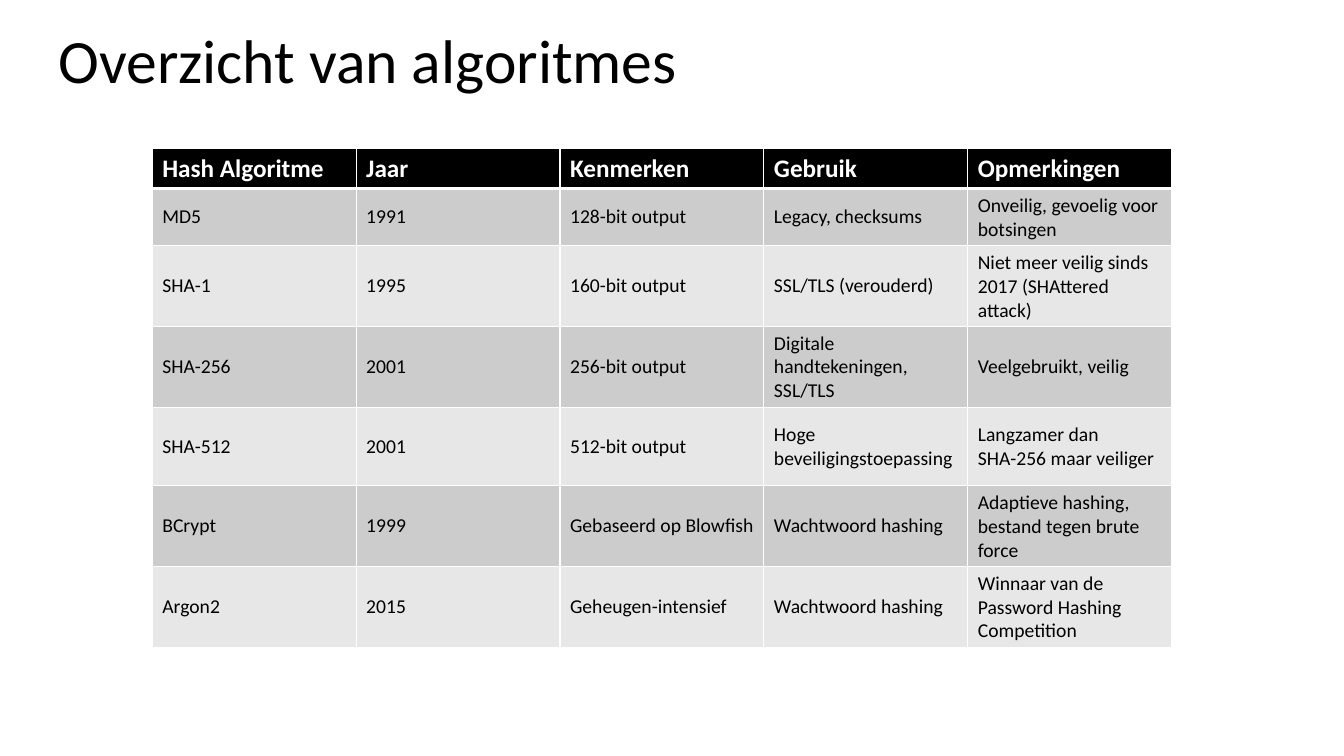
from dataclasses import dataclass

from lxml.etree import SubElement
from pptx import Presentation
from pptx.dml.color import RGBColor
from pptx.enum.text import MSO_ANCHOR as Anchor
from pptx.oxml.ns import qn
from pptx.slide import Slide
from pptx.table import _Cell as Cell
from pptx.text.text import Font
from pptx.util import Inches, Length, Pt

SLIDE_WIDTH, SLIDE_HEIGHT = Inches(13.33), Inches(7.5)
BLACK, WHITE, DARK_BAND, LIGHT_BAND = "000000", "FFFFFF", "CCCCCC", "E7E7E7"
COLUMN_SHARE = 15.17

TITLE_FORMAT = {"name": "Calibri", "size": Pt(44), "bold": False}
HEADER_FORMAT = {"name": "Calibri", "size": Pt(18), "bold": True}
BODY_FORMAT = {"name": "Calibri", "size": Pt(14), "bold": False}


@dataclass
class Algorithm:
    name: str
    year: str
    features: str
    usage: str
    remarks: str
    height: float = 10.4

    def texts(self) -> list[str]:
        return [self.name, self.year, self.features, self.usage, self.remarks]


HEADER = Algorithm("Hash Algoritme", "Jaar", "Kenmerken", "Gebruik", "Opmerkingen", 4.27)
ALGORITHMS = [
    Algorithm("MD5", "1991", "128-bit output", "Legacy, checksums",
              "Onveilig, gevoelig voor botsingen", 7.33),
    Algorithm("SHA-1", "1995", "160-bit output", "SSL/TLS (verouderd)",
              "Niet meer veilig sinds 2017 (SHAttered attack)"),
    Algorithm("SHA-256", "2001", "256-bit output", "Digitale handtekeningen, SSL/TLS",
              "Veelgebruikt, veilig"),
    Algorithm("SHA-512", "2001", "512-bit output", "Hoge beveiligingstoepassing",
              "Langzamer dan SHA-256 maar veiliger"),
    Algorithm("BCrypt", "1999", "Gebaseerd op Blowfish", "Wachtwoord hashing",
              "Adaptieve hashing, bestand tegen brute force"),
    Algorithm("Argon2", "2015", "Geheugen-intensief", "Wachtwoord hashing",
              "Winnaar van de Password Hashing Competition"),
]


def across(percent: float) -> Length:
    return Length(round(SLIDE_WIDTH * percent / 100))


def down(percent: float) -> Length:
    return Length(round(SLIDE_HEIGHT * percent / 100))


def color(value: str) -> RGBColor:
    return RGBColor.from_string(value)


def format_font(font: Font, values: dict, font_color: str) -> None:
    for name, value in values.items():
        setattr(font, name, value)
    font.color.rgb = color(font_color)


def add_borders(cell: Cell, top: float, bottom: float) -> None:
    """Draw white borders, with widths in points; the sides are 1 point."""
    properties = cell._tc.get_or_add_tcPr()
    for side, width in {"L": 1, "R": 1, "T": top, "B": bottom}.items():
        line = SubElement(properties, qn(f"a:ln{side}"), w=str(Pt(width)))
        SubElement(SubElement(line, qn("a:solidFill")), qn("a:srgbClr"), val=WHITE)


def add_title(slide: Slide, text: str) -> None:
    box = slide.shapes.add_textbox(across(3.6), down(2.67), across(89.57), down(11.6))
    frame = box.text_frame
    frame.word_wrap = True
    frame.vertical_anchor = Anchor.MIDDLE
    paragraph = frame.paragraphs[0]
    paragraph.text = text
    paragraph.line_spacing = 0.9
    format_font(paragraph.font, TITLE_FORMAT, BLACK)


def fill_cell(cell: Cell, text: str, row: int) -> None:
    is_header = row == 0
    add_borders(cell, top=3 if row == 1 else 1, bottom=3 if is_header else 1)
    cell.fill.solid()
    band = DARK_BAND if row % 2 else LIGHT_BAND
    cell.fill.fore_color.rgb = color(BLACK if is_header else band)
    cell.vertical_anchor = Anchor.MIDDLE
    cell.text = text
    format_font(cell.text_frame.paragraphs[0].runs[0].font,
                HEADER_FORMAT if is_header else BODY_FORMAT,
                WHITE if is_header else BLACK)


def add_algorithm_table(slide: Slide, rows: list[Algorithm]) -> None:
    column_count = len(HEADER.texts())
    table = slide.shapes.add_table(
        len(rows), column_count, across(11.33), down(19.6),
        across(COLUMN_SHARE * column_count), down(sum(row.height for row in rows))).table
    for column in table.columns:
        column.width = across(COLUMN_SHARE)
    for row, algorithm in enumerate(rows):
        table.rows[row].height = down(algorithm.height)
        for column, text in enumerate(algorithm.texts()):
            fill_cell(table.cell(row, column), text, row)


def main() -> None:
    presentation = Presentation()
    presentation.slide_width, presentation.slide_height = SLIDE_WIDTH, SLIDE_HEIGHT
    slide = presentation.slides.add_slide(presentation.slide_layouts[6])
    add_title(slide, "Overzicht van algoritmes")
    add_algorithm_table(slide, [HEADER, *ALGORITHMS])
    presentation.save("out.pptx")


if __name__ == "__main__":
    main()
